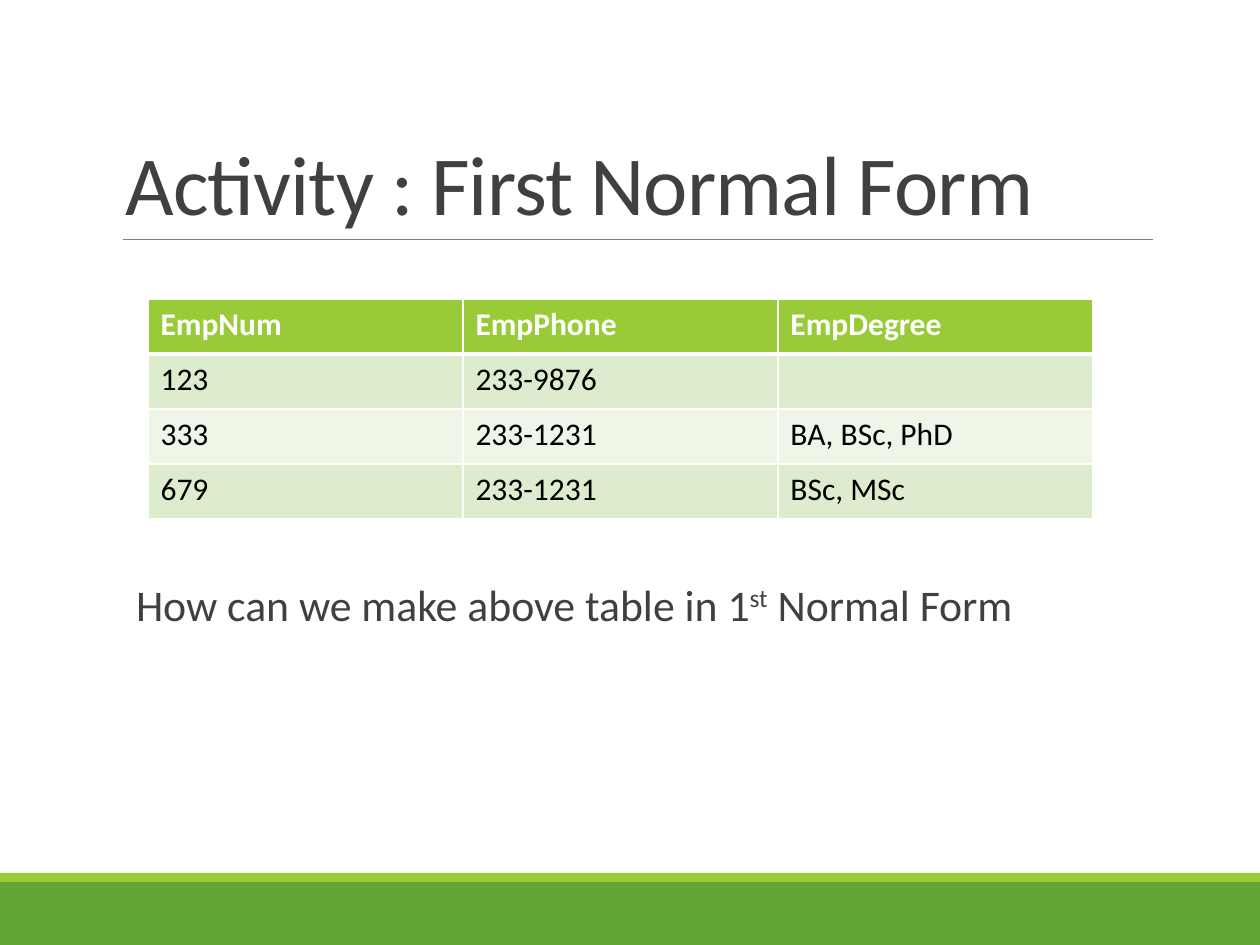
from dataclasses import dataclass

from lxml.etree import SubElement as Sub
from pptx import Presentation
from pptx.dml.color import RGBColor as RGB
from pptx.enum.shapes import MSO_CONNECTOR as Conn, MSO_SHAPE as Shape
from pptx.enum.text import MSO_ANCHOR as Anchor, MSO_AUTO_SIZE as Fit, PP_ALIGN as Align
from pptx.oxml.ns import qn
from pptx.util import Pt


@dataclass
class Theme:
    face: str = "Calibri"
    ink: str = "404040"
    rule: str = "808080"
    lime: str = "99CB38"
    green: str = "63A537"
    white: str = "FFFFFF"
    black: str = "000000"
    bands: tuple = ("DEECCE", "EFF6E8")
    title: int = 48
    body: int = 25
    cell: int = 18


look = Theme()
PX = 914400 // 126


def style(para, size, color, bold=False):
    font = para.font
    font.name, font.size, font.bold = look.face, Pt(size), bold
    font.color.rgb = RGB.from_string(color)


def edge(cell, side, width):
    # Borders must come before the fill in the cell properties
    line = Sub(cell._tc.get_or_add_tcPr(), qn(f"a:{side}"), w=str(Pt(width)))
    Sub(Sub(line, qn("a:solidFill")), qn("a:srgbClr"), val=look.white)


deck = Presentation()
deck.slide_width, deck.slide_height = 1260 * PX, 945 * PX
slide = deck.slides.add_slide(deck.slide_layouts[1])
shapes = slide.shapes

# Footer bands
for top, high, color in ((882, 63, look.green), (873, 9, look.lime)):
    band = shapes.add_shape(Shape.RECTANGLE, 0, top * PX, 1260 * PX, high * PX)
    band.shadow.inherit = False
    band.fill.solid()
    band.fill.fore_color.rgb = RGB.from_string(color)
    band.line.fill.background()

# Rule under the title
rule = shapes.add_connector(Conn.STRAIGHT, 123 * PX, 239 * PX, 1153 * PX, 239 * PX)
rule.line.color.rgb = RGB.from_string(look.rule)
rule.line.width = Pt(0.5)
Sub(rule._element.spPr, qn("a:effectLst"))

# Title
title = shapes.title
title.left, title.top, title.width, title.height = (n * PX for n in (113, 39, 1040, 200))
frame = title.text_frame
frame.auto_size, frame.vertical_anchor = Fit.NONE, Anchor.BOTTOM
para = frame.paragraphs[0]
para.alignment, para.line_spacing = Align.LEFT, 0.85
run = para.add_run()
run.text = "Activity : First Normal Form"
run._r.get_or_add_rPr().set("spc", "-50")
style(para, look.title, look.ink)

# Question
body = slide.placeholders[1]
body.left, body.top, body.width, body.height = (n * PX for n in (136, 577, 1061, 192))
frame = body.text_frame
frame.auto_size = Fit.NONE
frame.margin_left = frame.margin_right = 0
para = frame.paragraphs[0]
para.line_spacing, para.space_before, para.space_after = 0.9, Pt(0), Pt(2)
props = para._p.get_or_add_pPr()
props.set("marL", "0")
props.set("indent", "0")
Sub(props, qn("a:buNone"))
for text, base in (("How can we make above table in 1", 0), ("st", 30000), (" Normal Form", 0)):
    run = para.add_run()
    run.text = text
    if base:
        run._r.get_or_add_rPr().set("baseline", str(base))
style(para, look.body, look.ink)

# Employee table
rows = (
    ("EmpNum", "EmpPhone", "EmpDegree"),
    ("123", "233-9876", ""),
    ("333", "233-1231", "BA, BSc, PhD"),
    ("679", "233-1231", "BSc, MSc"),
)
table = shapes.add_table(4, 3, 148 * PX, 299 * PX, 945 * PX, 220 * PX).table
for r, row in enumerate(rows):
    head = r == 0
    for c, text in enumerate(row):
        cell = table.cell(r, c)
        for side in ("lnL", "lnR", "lnT", "lnB"):
            thick = (r, side) in ((0, "lnB"), (1, "lnT"))
            edge(cell, side, 3 if thick else 1)
        cell.fill.solid()
        cell.fill.fore_color.rgb = RGB.from_string(look.lime if head else look.bands[(r - 1) % 2])
        cell.text = text
        style(cell.text_frame.paragraphs[0], look.cell, look.white if head else look.black, head)

deck.save("out.pptx")
